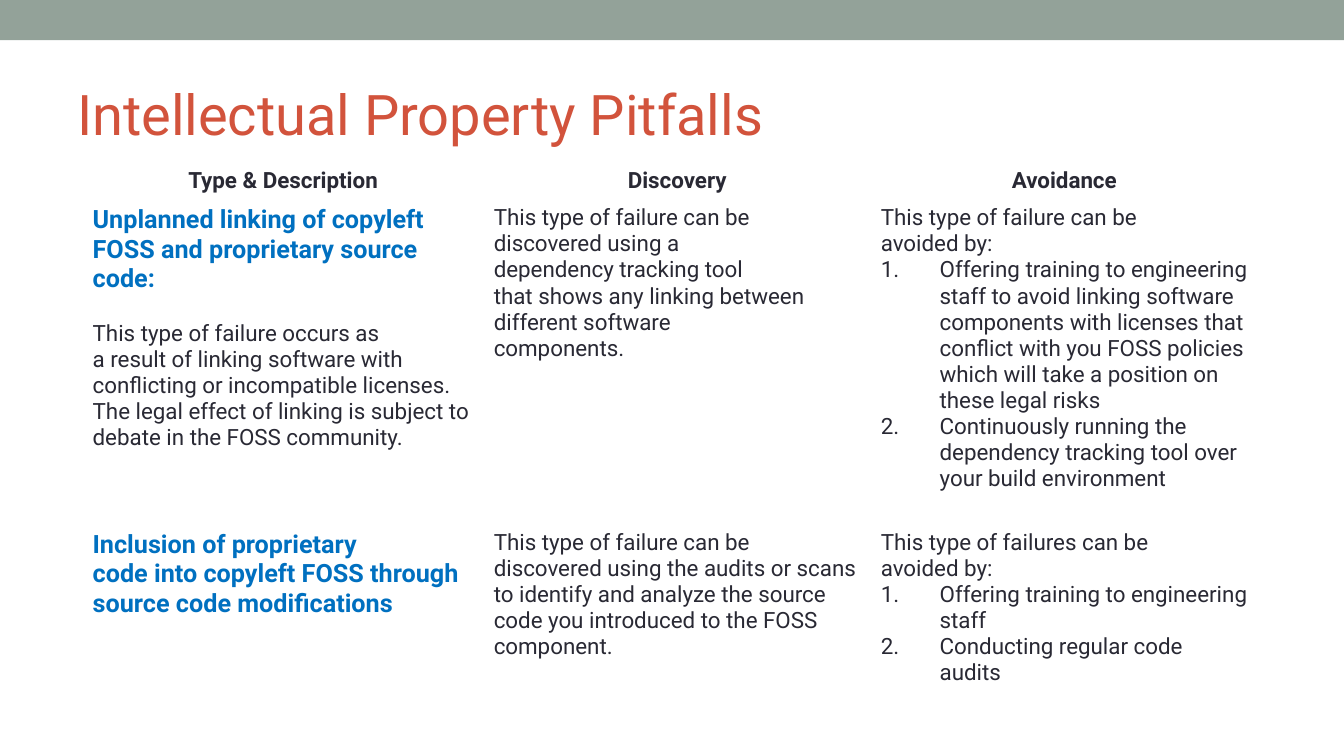
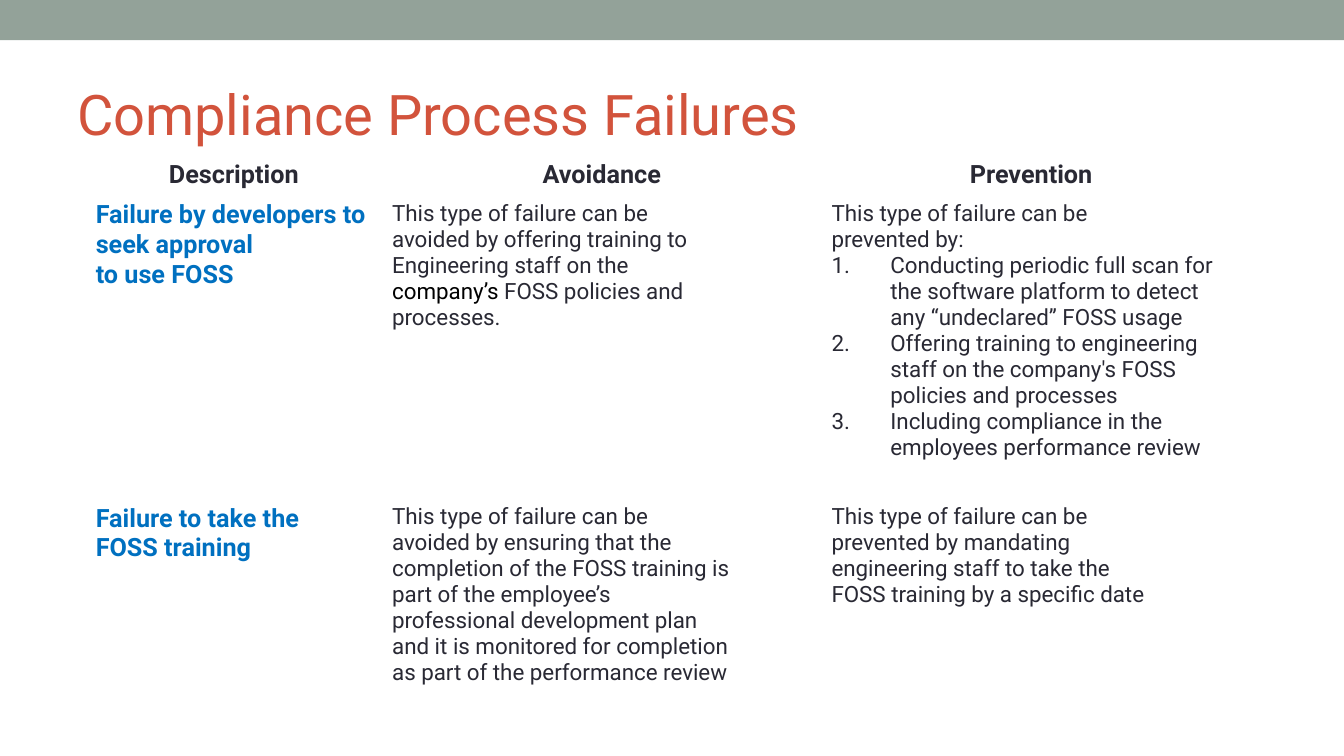
from lxml.etree import SubElement
from pptx import Presentation
from pptx.dml.color import RGBColor
from pptx.enum.shapes import MSO_SHAPE as Shape
from pptx.enum.text import MSO_ANCHOR as Anchor, PP_ALIGN as Align
from pptx.oxml.ns import qn
from pptx.util import Pt

# Shared look
FONT = "Roboto"
WHITE, BAND, TITLE = "FFFFFF", "93A299", "D2533C"
INK, BLUE, BLACK = "292934", "0070C0", "000000"
SLIDE_W, SLIDE_H = 960, 540
NUMBER_INDENT = 42
BODY_SIZE, PITFALL_SIZE = 16, 18


def paint(colour_format, colour):
    colour_format.rgb = RGBColor.from_string(colour)


def number(paragraph):
    """Give a paragraph a hanging automatic number."""
    props = paragraph._p.get_or_add_pPr()
    props.set("marL", str(Pt(NUMBER_INDENT)))
    props.set("indent", str(-Pt(NUMBER_INDENT)))
    colour = SubElement(props, qn("a:buClr"))
    SubElement(colour, qn("a:srgbClr"), val=INK)
    SubElement(props, qn("a:buAutoNum"), type="arabicPeriod")


# Content: every cell lists (style, text); *text* is set in black
pages = [
    {
        "title": "Intellectual Property Pitfalls",
        "corner": (59, 116.6),
        "columns": (286.5, 276.5, 276.5),
        "heights": (26, 232, 119.5),
        "header_size": 16,
        "rows": [
            [
                [("header", "Type & Description")],
                [("header", "Discovery")],
                [("header", "Avoidance")],
            ],
            [
                [
                    ("pitfall", "Unplanned linking of copyleft FOSS and proprietary source code:"),
                    ("spaced", "This type of failure occurs as"),
                    ("body", "a result of linking software with conflicting or incompatible "
                             "licenses. The legal effect of linking is subject to debate in "
                             "the FOSS community."),
                ],
                [
                    ("body", "This type of failure can be"),
                    ("body", "discovered using a"),
                    ("body", "dependency tracking tool"),
                    ("body", "that shows any linking between"),
                    ("body", "different software"),
                    ("body", "components."),
                ],
                [
                    ("body", "This type of failure can be"),
                    ("body", "avoided by:"),
                    ("item", "Offering training to engineering staff to avoid linking software "
                             "components with licenses that conflict with you FOSS policies "
                             "which will take a position on these legal risks"),
                    ("item", "Continuously running the dependency tracking tool over your "
                             "build environment"),
                ],
            ],
            [
                [
                    ("pitfall", "Inclusion of proprietary"),
                    ("pitfall", "code into copyleft FOSS through"),
                    ("pitfall", "source code modifications"),
                ],
                [
                    ("body", "This type of failure can be"),
                    ("body", "discovered using the audits or scans to identify and analyze the "
                             "source code you introduced to the FOSS component."),
                ],
                [
                    ("body", "This type of failures can be"),
                    ("body", "avoided by:"),
                    ("item", "Offering training to engineering staff"),
                    ("item", "Conducting regular code audits"),
                ],
            ],
        ],
    },
    {
        "title": "Compliance Process Failures",
        "corner": (61.2, 110.9),
        "columns": (211.7, 313.9, 299.5),
        "heights": (28.8, 216.7, 140.4),
        "header_size": 18,
        "rows": [
            [
                [("header", "Description")],
                [("header", "Avoidance")],
                [("header", "Prevention")],
            ],
            [
                [
                    ("pitfall", "Failure by developers to seek approval"),
                    ("pitfall", "to use FOSS"),
                ],
                [
                    ("body", "This type of failure can be"),
                    ("body", "avoided by offering training to"),
                    ("body", "Engineering staff on the"),
                    ("body", "*company’s* FOSS policies and"),
                    ("body", "processes."),
                ],
                [
                    ("body", "This type of failure can be"),
                    ("body", "prevented by:"),
                    ("item", "Conducting periodic full scan for the software platform to detect "
                             "any “undeclared” FOSS usage"),
                    ("item", "Offering training to engineering staff on the company's FOSS "
                             "policies and processes"),
                    ("item", "Including compliance in the employees performance review"),
                ],
            ],
            [
                [
                    ("pitfall", "Failure to take the"),
                    ("pitfall", "FOSS training"),
                ],
                [
                    ("body", "This type of failure can be"),
                    ("body", "avoided by ensuring that the"),
                    ("body", "completion of the FOSS training is"),
                    ("body", "part of the employee’s"),
                    ("body", "professional development plan"),
                    ("body", "and it is monitored for completion"),
                    ("body", "as part of the performance review"),
                ],
                [
                    ("body", "This type of failure can be"),
                    ("body", "prevented by mandating"),
                    ("body", "engineering staff to take the"),
                    ("body", "FOSS training by a specific date"),
                ],
            ],
        ],
    },
]

deck = Presentation()
deck.slide_width, deck.slide_height = Pt(SLIDE_W), Pt(SLIDE_H)

for page in pages:
    slide = deck.slides.add_slide(deck.slide_layouts[6])

    # Top band
    band = slide.shapes.add_shape(Shape.RECTANGLE, 0, 0, Pt(SLIDE_W), Pt(28.8))
    band.shadow.inherit = False
    band.fill.solid()
    paint(band.fill.fore_color, BAND)
    band.line.fill.background()

    # Title
    heading = slide.shapes.add_textbox(Pt(48), Pt(42), Pt(864), Pt(78)).text_frame
    heading.word_wrap = True
    heading.vertical_anchor = Anchor.MIDDLE
    heading.text = page["title"]
    title_font = heading.paragraphs[0].runs[0].font
    title_font.name, title_font.size = FONT, Pt(40)
    paint(title_font.color, TITLE)

    # Table grid
    left, top = page["corner"]
    columns, heights = page["columns"], page["heights"]
    failures = slide.shapes.add_table(
        len(heights), len(columns), Pt(left), Pt(top), Pt(sum(columns)), Pt(sum(heights))
    ).table
    failures.horz_banding = False
    for column, width in zip(failures.columns, columns):
        column.width = Pt(width)
    for row, height in zip(failures.rows, heights):
        row.height = Pt(height)

    # Table text
    sizes = {"header": page["header_size"], "pitfall": PITFALL_SIZE}
    cells = [lines for row in page["rows"] for lines in row]
    for cell, lines in zip(failures.iter_cells(), cells):
        cell.fill.solid()
        paint(cell.fill.fore_color, WHITE)
        for index, (style, text) in enumerate(lines):
            frame = cell.text_frame
            paragraph = frame.add_paragraph() if index else frame.paragraphs[0]
            if style == "header":
                paragraph.alignment = Align.CENTER
            elif style == "item":
                number(paragraph)
            elif style == "spaced":
                paragraph.space_before = Pt(19)
            for part, words in enumerate(text.split("*")):
                if not words:
                    continue
                run = paragraph.add_run()
                run.text = words
                run.font.name = FONT
                run.font.size = Pt(sizes.get(style, BODY_SIZE))
                run.font.bold = style in sizes
                plain = BLUE if style == "pitfall" else INK
                paint(run.font.color, BLACK if part % 2 else plain)

deck.save("out.pptx")
